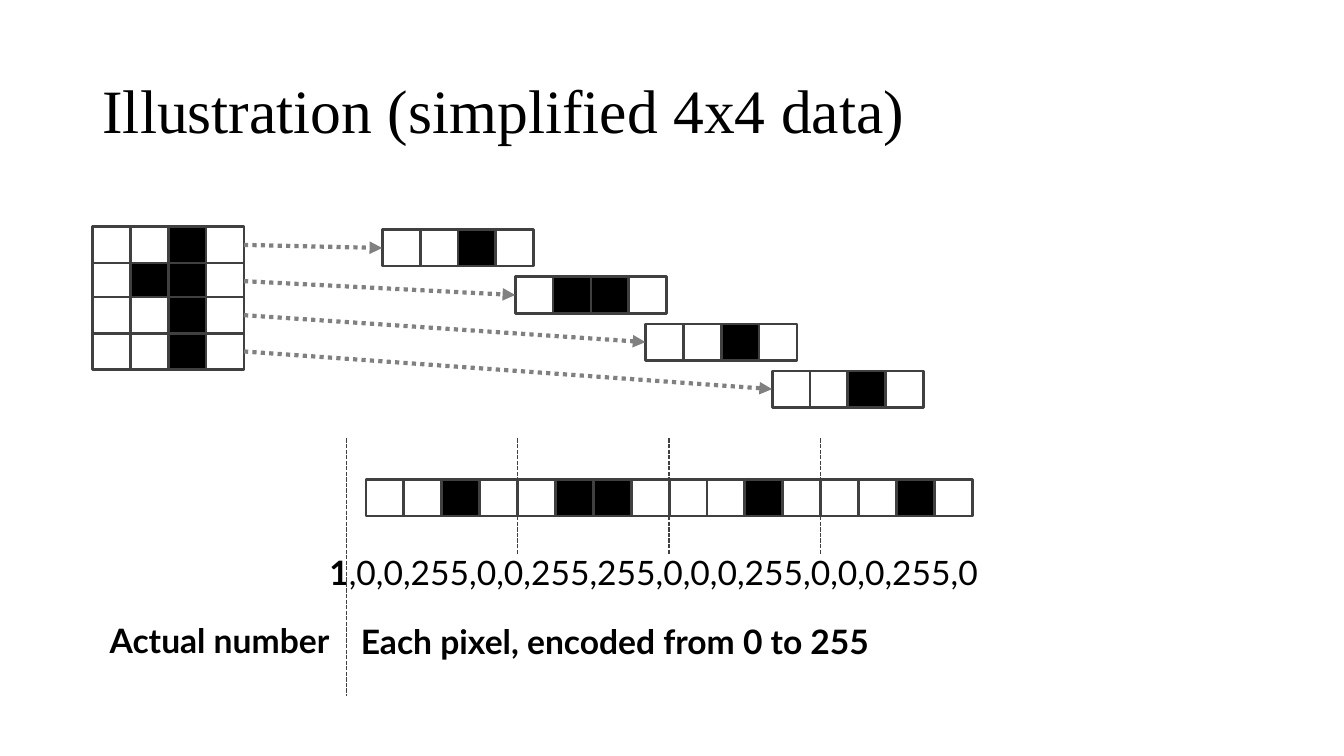
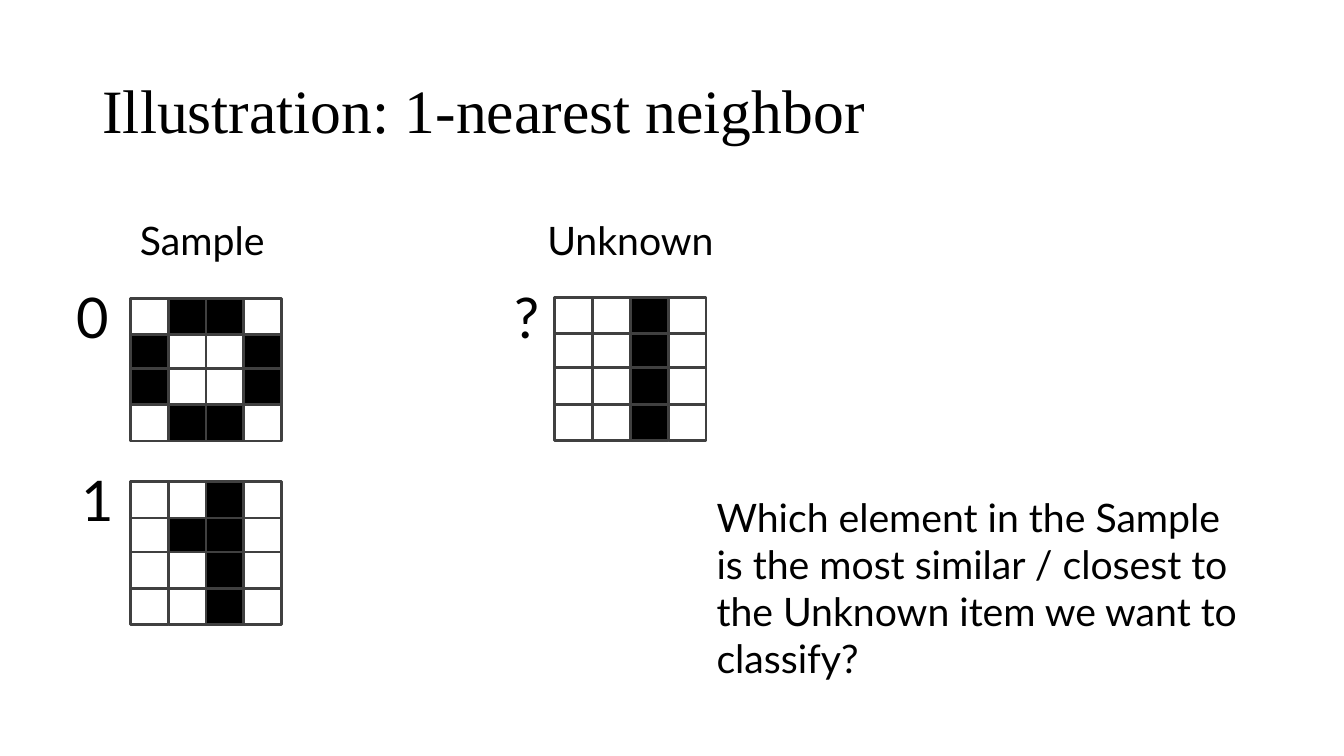
from dataclasses import dataclass
from typing import Any

from lxml.etree import SubElement
from pptx import Presentation
from pptx.dml.color import RGBColor
from pptx.enum.dml import MSO_LINE
from pptx.enum.shapes import MSO_CONNECTOR, MSO_SHAPE
from pptx.enum.text import MSO_ANCHOR, MSO_AUTO_SIZE, PP_ALIGN
from pptx.oxml.ns import qn
from pptx.util import Pt

COLORS = {"paper": "FFFFFF", "ink": "000000", "border": "404040", "arrow": "808080"}
TITLE_FORMAT = {"name": "Times New Roman", "size": Pt(44), "bold": False}
TITLE_BOX = {"left": Pt(66), "top": Pt(28.8), "width": Pt(828), "height": Pt(104.4)}

CELL_WIDTH, CELL_HEIGHT = 27.07, 25.9
STRIP_WIDTH = 4 * CELL_WIDTH
ROW_OFFSETS = (0, 25.9, 50.2, 76.1)
ZERO = (".##.", "#..#", "#..#", ".##.")
ONE = ("..#.", ".##.", "..#.", "..#.")
BAR = ("..#.",) * 4


@dataclass(frozen=True)
class Label:
    text: str
    left: float
    top: float
    width: float
    height: float
    size: float
    bold: bool = False
    lead: str = ""  # bold text before the rest


@dataclass(frozen=True)
class Digit:
    rows: tuple[str, ...]
    left: float
    top: float


@dataclass(frozen=True)
class LineStyle:
    color: str
    width: float
    dash: MSO_LINE
    arrow: bool = False


DIVIDER = LineStyle("border", 1, MSO_LINE.SQUARE_DOT)
ARROW = LineStyle("arrow", 3, MSO_LINE.ROUND_DOT, arrow=True)

ENCODED_PIXELS = ",".join("255" if pixel == "#" else "0" for pixel in "".join(ONE))
ENCODING_LABELS = (
    Label("," + ENCODED_PIXELS, 228.2, 391, 481.7, 36, 24, lead="1"),
    Label("Actual number", 71.3, 439.2, 177.1, 36, 24, bold=True),
    Label("Each pixel, encoded from 0 to 255", 250.6, 439.9, 388.1, 36, 24, bold=True),
)
NEIGHBOR_DIGITS = (Digit(ZERO, 93, 213.1), Digit(ONE, 93, 344.1), Digit(BAR, 396, 212.6))
NEIGHBOR_LABELS = (
    Label("Sample", 92.9, 151.2, 109.4, 41, 28),
    Label("Unknown", 383.8, 151.2, 137.5, 41, 28),
    Label("0", 47.5, 198, 36.7, 55.4, 40),
    Label("1", 51.1, 329, 31, 55.4, 40),
    Label("Which element in the Sample\nis the most similar / closest to\n"
          "the Unknown item we want to\nclassify?", 504.7, 348.5, 406.8, 143.3, 28),
    Label("?", 360.7, 198, 32.4, 55.4, 40),
)


def color(name: str) -> RGBColor:
    return RGBColor.from_string(COLORS[name])


def apply_format(target: Any, values: dict[str, Any]) -> None:
    for attribute, value in values.items():
        setattr(target, attribute, value)


def add_titled_slide(presentation: Any, title: str) -> Any:
    slide = presentation.slides.add_slide(presentation.slide_layouts.get_by_name("Title Only"))
    shape = slide.shapes.title
    apply_format(shape, TITLE_BOX)
    shape.text_frame.text = title
    apply_format(shape.text_frame, {"vertical_anchor": MSO_ANCHOR.MIDDLE,
                                    "auto_size": MSO_AUTO_SIZE.NONE})
    paragraph = shape.text_frame.paragraphs[0]
    apply_format(paragraph, {"alignment": PP_ALIGN.LEFT, "line_spacing": 0.9})
    apply_format(paragraph.runs[0].font, TITLE_FORMAT)
    paragraph.runs[0].font.color.rgb = color("ink")
    return slide


def add_strip(slide: Any, pixels: str, left: float, top: float) -> list[Any]:
    """Draw one grouped row of pixels and return its cells."""
    group = slide.shapes.add_group_shape()
    cells = []
    for column, pixel in enumerate(pixels):
        cell = group.shapes.add_shape(MSO_SHAPE.RECTANGLE, Pt(left + column * CELL_WIDTH),
                                      Pt(top), Pt(CELL_WIDTH), Pt(CELL_HEIGHT))
        cell.shadow.inherit = False
        cell.fill.solid()
        cell.fill.fore_color.rgb = color("ink" if pixel == "#" else "paper")
        cell.line.color.rgb = color("border")
        cell.line.width = Pt(2)
        cells.append(cell)
    return cells


def add_digit(slide: Any, digit: Digit) -> list[list[Any]]:
    return [add_strip(slide, pixels, digit.left, digit.top + offset)
            for pixels, offset in zip(digit.rows, ROW_OFFSETS)]


def add_label(slide: Any, label: Label) -> None:
    shape = slide.shapes.add_textbox(*map(Pt, (label.left, label.top, label.width, label.height)))
    frame = shape.text_frame
    apply_format(frame, {"word_wrap": False, "auto_size": MSO_AUTO_SIZE.SHAPE_TO_FIT_TEXT})
    frame.text = label.lead or label.text
    if label.lead:
        frame.paragraphs[0].add_run().text = label.text
    for paragraph in frame.paragraphs:
        for run in paragraph.runs:
            bold = label.bold or run.text == label.lead
            apply_format(run.font, {"name": "Lato", "size": Pt(label.size), "bold": bold})
            run.font.color.rgb = color("ink")


def add_line(slide: Any, style: LineStyle, start: tuple[float, float],
             end: tuple[float, float]) -> Any:
    connector = slide.shapes.add_connector(MSO_CONNECTOR.STRAIGHT, *map(Pt, (*start, *end)))
    connector.line.color.rgb = color(style.color)
    apply_format(connector.line, {"width": Pt(style.width), "dash_style": style.dash})
    if style.arrow:
        SubElement(connector.line._get_or_add_ln(), qn("a:tailEnd"), type="triangle")
    SubElement(connector._element.spPr, qn("a:effectLst"))
    return connector


def build_encoding_slide(presentation: Any) -> None:
    slide = add_titled_slide(presentation, "Illustration (simplified 4x4 data)")
    source_rows = add_digit(slide, Digit(ONE, 66, 162))
    strip_lefts = (273, 368, 461, 551.5)
    moved_rows = [add_strip(slide, pixels, left, 164.2 + 33.6 * index)
                  for index, (pixels, left) in enumerate(zip(ONE, strip_lefts))]
    joined_left = 261.4
    for index, pixels in enumerate(ONE):
        add_strip(slide, pixels, joined_left + index * STRIP_WIDTH, 342.7)
    for label in ENCODING_LABELS:
        add_label(slide, label)
    add_line(slide, DIVIDER, (247.7, 313.2), (247.7, 496.8))
    for index in range(1, len(ONE)):
        divider_left = joined_left + index * STRIP_WIDTH
        add_line(slide, DIVIDER, (divider_left, 313.2), (divider_left, 396))
    right_site, left_site = 3, 1
    for source, moved in zip(source_rows, moved_rows):
        arrow = add_line(slide, ARROW, (0, 0), (0, 0))
        arrow.begin_connect(source[-1], right_site)
        arrow.end_connect(moved[0], left_site)


def build_neighbor_slide(presentation: Any) -> None:
    slide = add_titled_slide(presentation, "Illustration: 1-nearest neighbor")
    for digit in NEIGHBOR_DIGITS:
        add_digit(slide, digit)
    for label in NEIGHBOR_LABELS:
        add_label(slide, label)


def main() -> None:
    presentation = Presentation()
    apply_format(presentation, {"slide_width": Pt(960), "slide_height": Pt(540)})
    build_encoding_slide(presentation)
    build_neighbor_slide(presentation)
    presentation.save("out.pptx")


if __name__ == "__main__":
    main()
